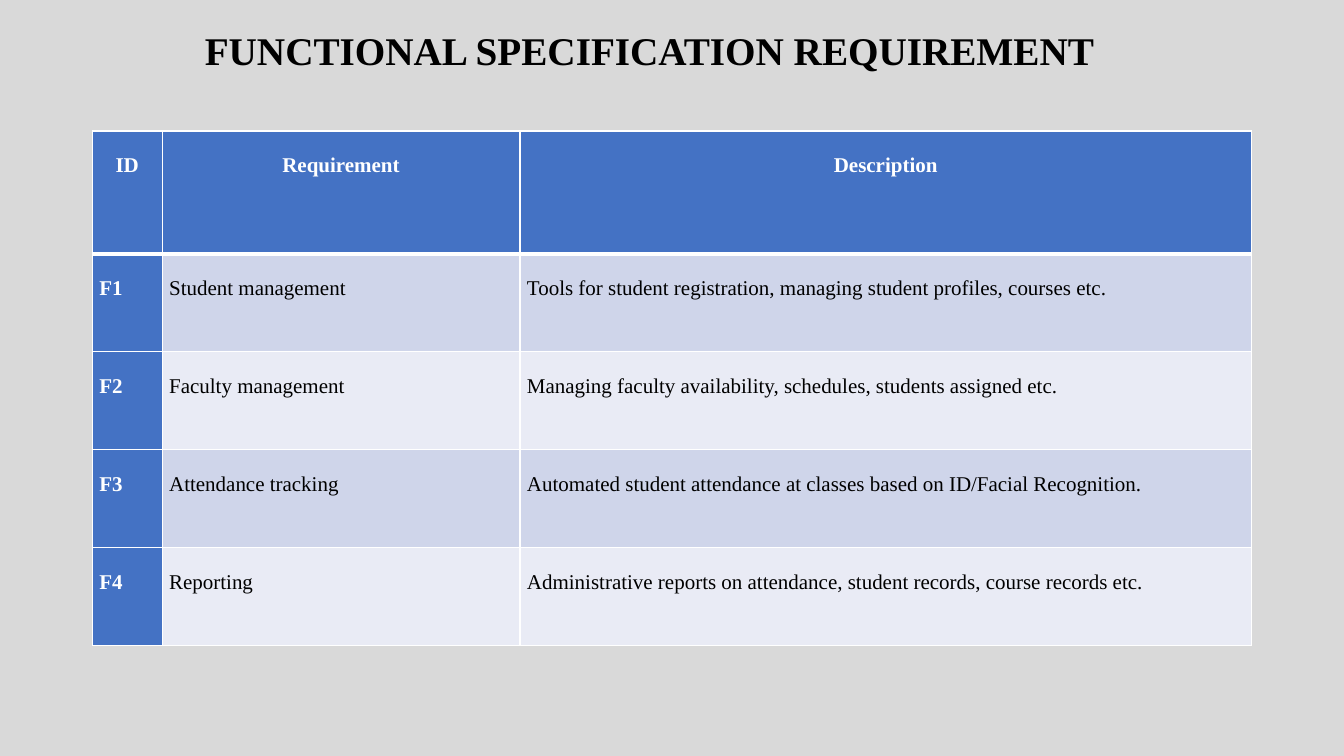
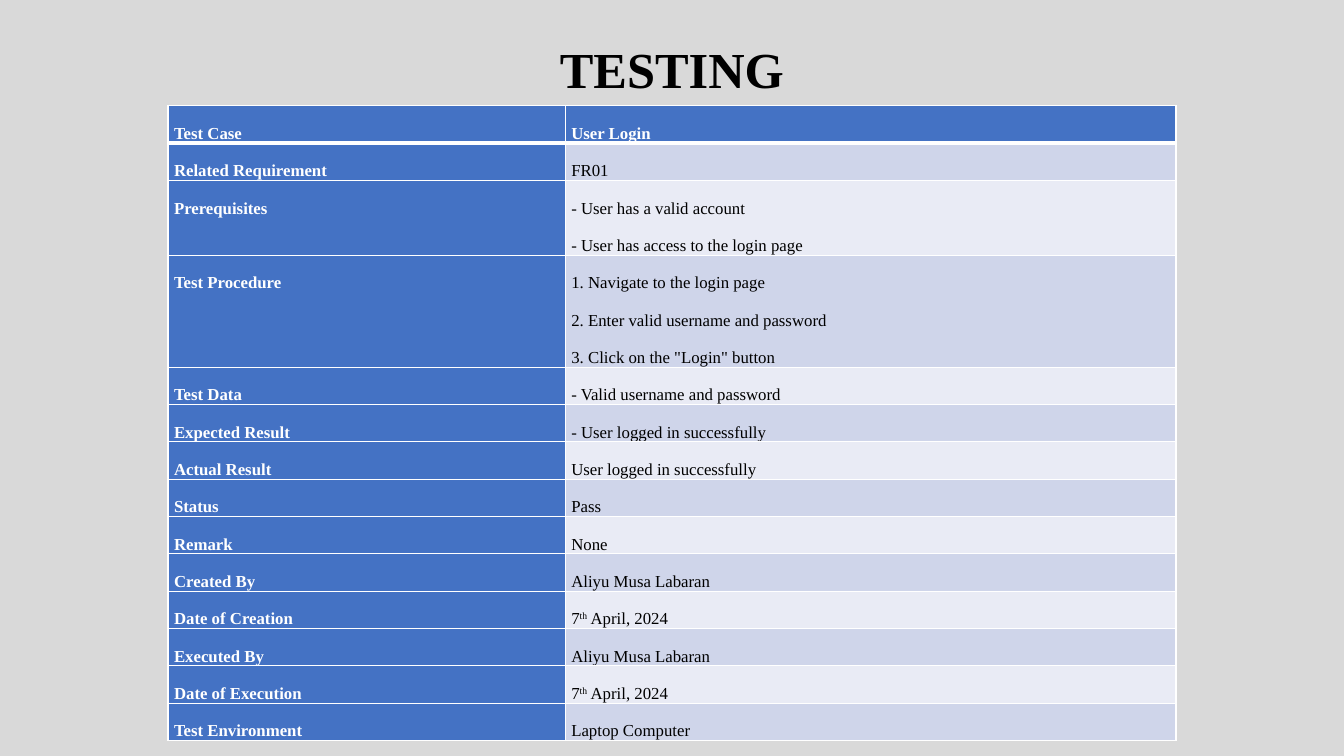
"""Build two slides, each with a centred title and a ruled requirement or test table."""
from dataclasses import dataclass

from lxml.etree import SubElement
from pptx import Presentation
from pptx.dml.color import RGBColor
from pptx.enum.text import MSO_ANCHOR, MSO_AUTO_SIZE, PP_ALIGN
from pptx.oxml.ns import qn
from pptx.util import Inches, Pt

SLIDE_WIDTH, SLIDE_HEIGHT = Inches(13.33), Inches(7.5)
GRID_COLUMNS, GRID_ROWS = 160, 90
FONT = "Times New Roman"
BACKGROUND, BLACK, WHITE = "D9D9D9", "000000", "FFFFFF"
ACCENT, BANDS = "4472C4", ("CFD5EA", "E9EBF5")
THIN, THICK = 1, 3


@dataclass
class Area:
    left: float
    top: float
    width: float
    height: float


@dataclass
class TitleBlock:
    text: str
    area: Area
    size: int
    anchor: MSO_ANCHOR


@dataclass
class TableBlock:
    left: float
    top: float
    columns: list[float]
    heights: list[float]
    rows: list[tuple[str, ...]]
    size: int
    margin: float
    header_align: PP_ALIGN


def across(columns: float) -> int:
    return round(SLIDE_WIDTH * columns / GRID_COLUMNS)


def down(rows: float) -> int:
    return round(SLIDE_HEIGHT * rows / GRID_ROWS)


def color(value: str) -> RGBColor:
    return RGBColor.from_string(value)


def write(frame, text: str, *, size: int, fill: str = BLACK, bold: bool = False,
          align: PP_ALIGN = PP_ALIGN.LEFT, spacing: float = 1.0) -> None:
    """Write one paragraph per line, raising the text between carets."""
    frame.word_wrap = True
    for index, line in enumerate(text.split("\n")):
        para = frame.add_paragraph() if index else frame.paragraphs[0]
        para.alignment, para.line_spacing = align, spacing
        para.space_before = para.space_after = Pt(0)
        for position, part in enumerate(line.split("^")):
            span = para.add_run()
            span.text = part
            span.font.name, span.font.size = FONT, Pt(size)
            span.font.bold, span.font.color.rgb = bold, color(fill)
            if position % 2:
                span.font._element.set("baseline", "30000")


def add_border(cell, side: str, points: int) -> None:
    line = SubElement(cell._tc.get_or_add_tcPr(), qn(f"a:ln{side}"), w=str(Pt(points)))
    fill = SubElement(line, qn("a:solidFill"))
    SubElement(fill, qn("a:srgbClr"), val=WHITE)


def add_title(page, block: TitleBlock) -> None:
    box, area = page.shapes.title, block.area
    box.left, box.top = across(area.left), down(area.top)
    box.width, box.height = across(area.width), down(area.height)
    frame = box.text_frame
    frame.auto_size = MSO_AUTO_SIZE.NONE
    frame.vertical_anchor = block.anchor
    write(frame, block.text, size=block.size, bold=True,
          align=PP_ALIGN.CENTER, spacing=0.9)


def format_cell(cell, text: str, row: int, column: int, block: TableBlock) -> None:
    is_header = row == 0
    is_accent = is_header or column == 0
    borders = {"L": THIN, "R": THIN, "T": THICK if row == 1 else THIN,
               "B": THICK if is_header else THIN}
    for side, points in borders.items():
        add_border(cell, side, points)
    cell.fill.solid()
    cell.fill.fore_color.rgb = color(ACCENT if is_accent else BANDS[(row - 1) % 2])
    cell.margin_left = cell.margin_right = Inches(block.margin)
    cell.margin_top = cell.margin_bottom = 0
    write(cell.text_frame, text, size=block.size, bold=is_accent,
          fill=WHITE if is_accent else BLACK, spacing=2.0,
          align=block.header_align if is_header else PP_ALIGN.LEFT)


def add_grid_table(page, block: TableBlock) -> None:
    table = page.shapes.add_table(
        len(block.rows), len(block.columns), across(block.left), down(block.top),
        across(sum(block.columns)), down(sum(block.heights))).table
    table.first_row = table.horz_banding = False
    for column, width in zip(table.columns, block.columns):
        column.width = across(width)
    for row, height in zip(table.rows, block.heights):
        row.height = down(height)
    for row, texts in enumerate(block.rows):
        for column, text in enumerate(texts):
            format_cell(table.cell(row, column), text, row, column, block)


REQUIREMENTS = [
    ("ID", "Requirement", "Description"),
    ("F1", "Student management",
     "Tools for student registration, managing student profiles, courses etc."),
    ("F2", "Faculty management",
     "Managing faculty availability, schedules, students assigned etc."),
    ("F3", "Attendance tracking",
     "Automated student attendance at classes based on ID/Facial Recognition."),
    ("F4", "Reporting",
     "Administrative reports on attendance, student records, course records etc."),
]
LOGIN_TEST = [
    ("Test Case", "User Login"),
    ("Related Requirement", "FR01"),
    ("Prerequisites", "- User has a valid account\n- User has access to the login page"),
    ("Test Procedure", "1. Navigate to the login page\n"
     "2. Enter valid username and password\n"
     "3. Click on the \"Login\" button"),
    ("Test Data", "- Valid username and password"),
    ("Expected Result", "- User logged in successfully"),
    ("Actual Result", "User logged in successfully"),
    ("Status", "Pass"),
    ("Remark", "None"),
    ("Created By", "Aliyu Musa Labaran"),
    ("Date of Creation", "7^th^ April, 2024"),
    ("Executed By", "Aliyu Musa Labaran"),
    ("Date of Execution", "7^th^ April, 2024"),
    ("Test Environment", "Laptop Computer"),
]
LINE_HEIGHT = 4.44
PAGES = [
    (TitleBlock("FUNCTIONAL SPECIFICATION REQUIREMENT", Area(18.8, 3.2, 117, 6.6),
                28, MSO_ANCHOR.TOP),
     TableBlock(11, 15.6, [8.3, 42.6, 87.1], [14.6] + [11.66] * 4, REQUIREMENTS,
                15, 0.07, PP_ALIGN.CENTER)),
    (TitleBlock("TESTING", Area(20, 4.7, 120, 7.9), 36, MSO_ANCHOR.MIDDLE),
     TableBlock(20, 12.6, [47.3, 72.7],
                [LINE_HEIGHT * len(value.split("\n")) for _, value in LOGIN_TEST],
                LOGIN_TEST, 12, 0.06, PP_ALIGN.LEFT)),
]


def main() -> None:
    deck = Presentation()
    deck.slide_width, deck.slide_height = SLIDE_WIDTH, SLIDE_HEIGHT
    backdrop = deck.slide_master.background.fill
    backdrop.solid()
    backdrop.fore_color.rgb = color(BACKGROUND)
    layout = deck.slide_layouts.get_by_name("Title Only")
    for title, table in PAGES:
        page = deck.slides.add_slide(layout)
        add_title(page, title)
        add_grid_table(page, table)
    deck.save("out.pptx")


if __name__ == "__main__":
    main()
